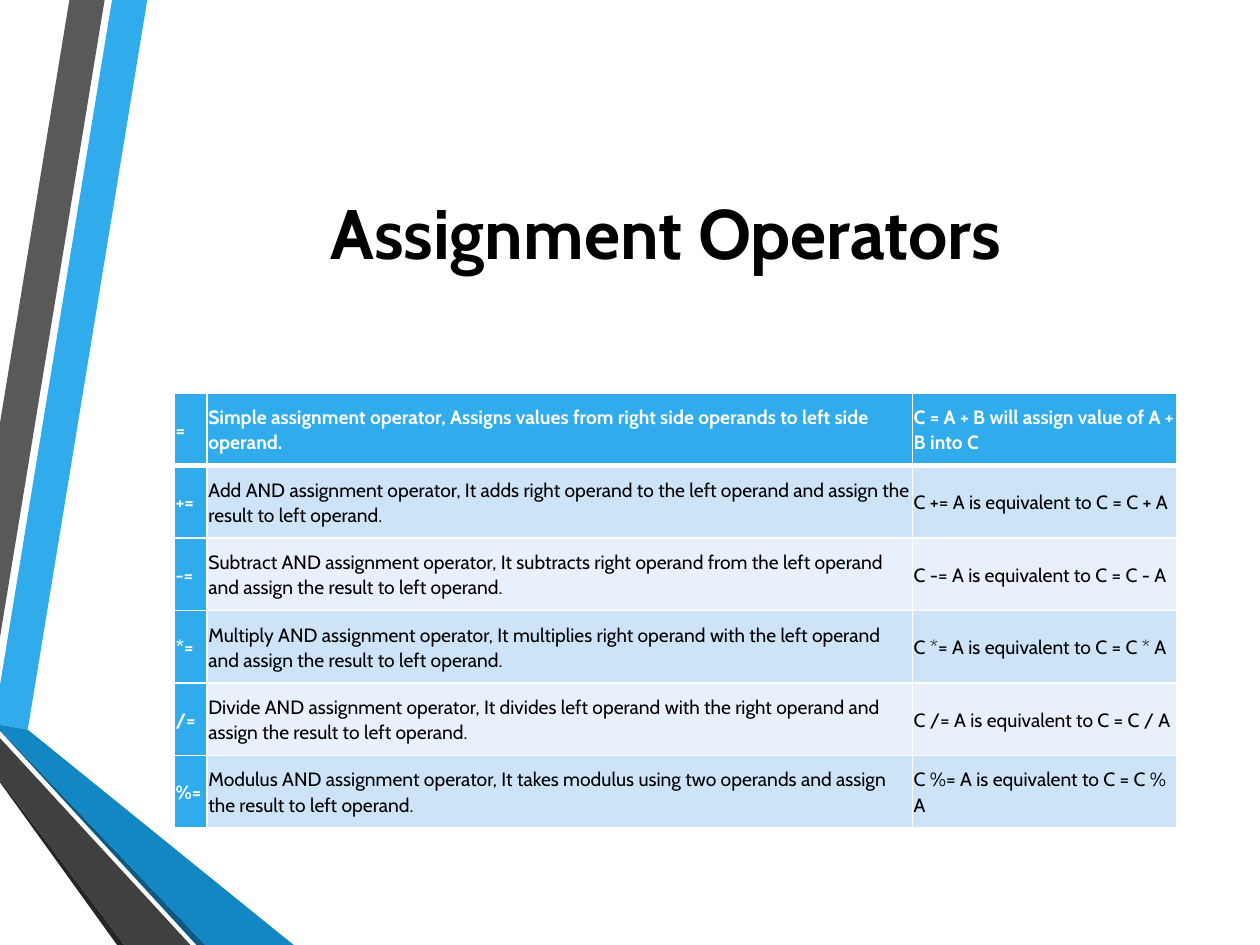
"""Build a slide with a table of assignment operators."""
from lxml import etree
from pptx import Presentation
from pptx.dml.color import RGBColor
from pptx.enum.text import MSO_ANCHOR, PP_ALIGN
from pptx.oxml.ns import qn
from pptx.util import Cm, Pt

MIDDLE = MSO_ANCHOR.MIDDLE
CENTER = PP_ALIGN.CENTER
FONT = "Cabin"
BLACK, WHITE, BLUE = "000000", "FFFFFF", "30ACEC"
BANDS = ["E8F1FB", "CDE3F8"]

TITLE = "Assignment Operators"
ROWS = [
    ("=", "Simple assignment operator, Assigns values from right side operands to left side operand.",
     "C = A + B will assign value of A + B into C"),
    ("+=", "Add AND assignment operator, It adds right operand to the left operand and assign the result to left operand.",
     "C += A is equivalent to C = C + A"),
    ("-=", "Subtract AND assignment operator, It subtracts right operand from the left operand and assign the result to left operand.",
     "C -= A is equivalent to C = C - A"),
    ("*=", "Multiply AND assignment operator, It multiplies right operand with the left operand and assign the result to left operand.",
     "C *= A is equivalent to C = C * A"),
    ("/=", "Divide AND assignment operator, It divides left operand with the right operand and assign the result to left operand.",
     "C /= A is equivalent to C = C / A"),
    ("%=", "Modulus AND assignment operator, It takes modulus using two operands and assign the result to left operand.",
     "C %= A is equivalent to C = C % A"),
]
COL_WIDTHS = [0.66, 14.22, 5.33]
ROW_HEIGHT = 1.46
TABLE_LEFT, TABLE_TOP = 3.51, 7.93

RIBBONS = [
    (BLUE, [(0, 13.82), (0, 14.61), (0.56, 14.71), (2.97, 0), (2.26, 0)]),
    ("595959", [(2.11, 0), (1.4, 0), (0, 8.53), (0, 12.85)]),
    ("262626", [(0, 15.72), (0, 15.77), (2.36, 19.05), (2.51, 19.05)]),
    ("0C5A82", [(0, 14.71), (0, 14.73), (3.96, 19.05), (4.14, 19.05)]),
    ("1287C3", [(0, 14.71), (4.14, 19.05), (5.92, 19.05), (0.56, 14.71), (0, 14.61)]),
    ("404040", [(0, 15.72), (2.51, 19.05), (3.84, 19.05), (0, 14.88)]),
]


def rgb(color):
    return RGBColor.from_string(color)


def style(p, size, color, bold):
    for r in p.runs:
        r.font.name = FONT
        r.font.size = Pt(size)
        r.font.bold = bold
        r.font.color.rgb = rgb(color)


def add_ribbon(s, color, points):
    pts = [(Cm(x), Cm(y)) for x, y in points]
    builder = s.shapes.build_freeform(*pts[0], scale=1.0)
    builder.add_line_segments(pts[1:], close=True)
    sp = builder.convert_to_shape()
    sp.shadow.inherit = False
    sp.fill.solid()
    sp.fill.fore_color.rgb = rgb(color)
    sp.line.fill.background()


def add_title(s):
    sp = s.shapes.add_textbox(Cm(2.72), Cm(1.27), Cm(21.41), Cm(6.78))
    tf = sp.text_frame
    tf.word_wrap = True
    tf.vertical_anchor = MIDDLE
    tf.text = TITLE
    p = tf.paragraphs[0]
    p.alignment = CENTER
    style(p, 40, BLACK, True)


def set_borders(cell, bottom):
    tcPr = cell._tc.get_or_add_tcPr()
    widths = {"a:lnL": 1, "a:lnR": 1, "a:lnT": 1, "a:lnB": bottom}
    for i, (tag, width) in enumerate(widths.items()):
        ln = etree.Element(qn(tag), w=str(Pt(width)))
        fill = etree.SubElement(ln, qn("a:solidFill"))
        etree.SubElement(fill, qn("a:srgbClr"), val=WHITE)
        tcPr.insert(i, ln)


def fill_cell(cell, text, row, col):
    strong = row == 0 or col == 0
    cell.margin_left = cell.margin_right = Cm(0.03)
    cell.margin_top = cell.margin_bottom = Cm(0.03)
    cell.vertical_anchor = MIDDLE
    cell.fill.solid()
    cell.fill.fore_color.rgb = rgb(BLUE if strong else BANDS[row % 2])
    cell.text_frame.text = text
    p = cell.text_frame.paragraphs[0]
    p.line_spacing = 1.07
    p.space_after = Pt(8)
    style(p, 11, WHITE if strong else BLACK, strong)
    set_borders(cell, 3 if row == 0 else 1)


def add_operators(s):
    table = s.shapes.add_table(
        len(ROWS), len(COL_WIDTHS), Cm(TABLE_LEFT), Cm(TABLE_TOP),
        Cm(sum(COL_WIDTHS)), Cm(ROW_HEIGHT * len(ROWS))).table
    table.first_col = True
    for col, width in enumerate(COL_WIDTHS):
        table.columns[col].width = Cm(width)
    for row, texts in enumerate(ROWS):
        table.rows[row].height = Cm(ROW_HEIGHT)
        for col, text in enumerate(texts):
            fill_cell(table.cell(row, col), text, row, col)


def main():
    prs = Presentation()
    prs.slide_width, prs.slide_height = Cm(25.4), Cm(19.05)
    s = prs.slides.add_slide(prs.slide_layouts[6])
    for color, points in RIBBONS:
        add_ribbon(s, color, points)
    add_title(s)
    add_operators(s)
    prs.save("out.pptx")


if __name__ == "__main__":
    main()
